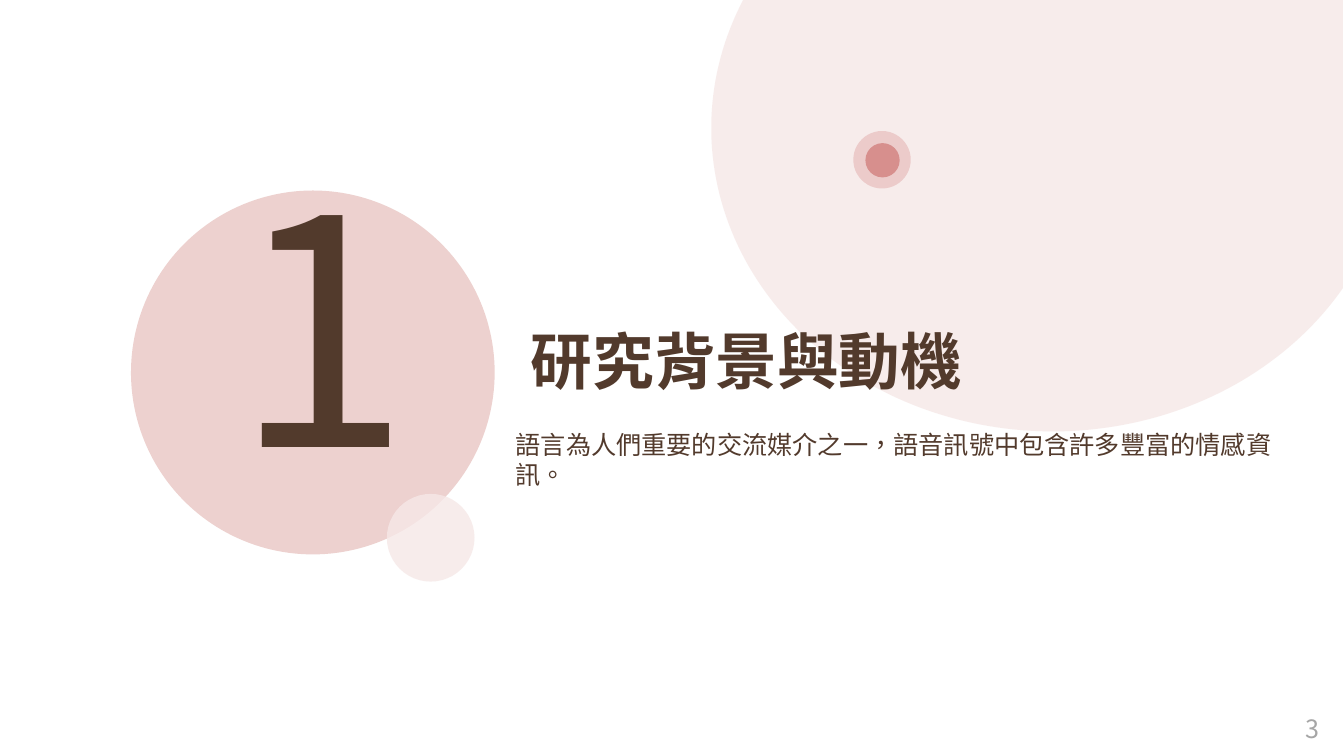
"""Build a section opener with pink circles, a large number, a title and a summary."""
import math

from lxml import etree
from pptx import Presentation
from pptx import util as u
from pptx.dml.color import RGBColor
from pptx.enum import shapes, text
from pptx.oxml.ns import qn

PX = 9144
FONT = "Noto Sans CJK SC"
BROWN = "523A2C"


def paint(shape, color, alpha=100):
    shape.shadow.inherit = False
    shape.fill.solid()
    shape.fill.fore_color.rgb = RGBColor.from_string(color)
    shape.line.fill.background()
    if alpha < 100:
        tint = shape.fill._xPr.find(qn("a:solidFill"))[0]
        etree.SubElement(tint, qn("a:alpha"), val=str(alpha * 1000))


def write(box, words, size, color, wrap, bold=False,
          align=text.PP_ALIGN.LEFT, anchor=text.MSO_ANCHOR.TOP):
    frame = box.text_frame
    frame.text = words
    frame.word_wrap = wrap
    frame.auto_size = text.MSO_AUTO_SIZE.NONE
    frame.vertical_anchor = anchor
    para = frame.paragraphs[0]
    para.alignment = align
    para.font.name = FONT
    para.font.size = u.Pt(size)
    para.font.bold = bold
    para.font.color.rgb = RGBColor.from_string(color)
    para._p.pPr.set("hangingPunct", "0")
    defaults = para._p.pPr.find(qn("a:defRPr"))
    etree.SubElement(defaults, qn("a:ea"), typeface=FONT)
    para.runs[0].font._element.set("lang", "zh-TW")


deck = Presentation()
deck.slide_width = 1334 * PX
deck.slide_height = 750 * PX
page = deck.slides.add_slide(deck.slide_layouts[5])
title = page.shapes.title

number_circles = [
    (130, 189, 361, "EDD1CF", 100),
    (384, 490, 87, "F6E8E7", 80),
]
for left, top, size, color, alpha in number_circles:
    circle = page.shapes.add_shape(shapes.MSO_SHAPE.OVAL, left * PX, top * PX, size * PX, size * PX)
    paint(circle, color, alpha)

number = page.shapes.add_textbox(223 * PX, 147 * PX, 104 * PX, 343 * PX)
write(number, "1", 226, BROWN, True,
      align=text.PP_ALIGN.CENTER, anchor=text.MSO_ANCHOR.MIDDLE)

summary = page.shapes.add_textbox(502 * PX, 421 * PX, 790 * PX, 40 * PX)
write(summary, "語言為人們重要的交流媒介之一，語音訊號中包含許多豐富的情感資訊。", 18, BROWN, True)

center_x, center_y, radius_x, radius_y = 1045, 127, 339, 301
start = math.acos((1333 - center_x) / radius_x)
end = math.pi + math.asin(center_y / radius_y)
steps = 120
arc = []
for step in range(steps + 1):
    angle = start + (end - start) * step / steps
    arc.append((round((center_x + radius_x * math.cos(angle)) * PX),
                round((center_y + radius_y * math.sin(angle)) * PX)))
outline = page.shapes.build_freeform(1333 * PX, 0)
outline.add_line_segments(arc, close=True)
paint(outline.convert_to_shape(), "F6E8E7", 80)

title.left, title.top, title.width, title.height = 517 * PX, 315 * PX, 480 * PX, 84 * PX
page.shapes._spTree.append(title._element)
write(title, "研究背景與動機", 44, BROWN, False, bold=True)

dot = page.shapes.add_group_shape()
for left, top, size, color in [(847, 130, 57, "ECCBCA"), (859, 142, 34, "D78F8D")]:
    disc = dot.shapes.add_shape(shapes.MSO_SHAPE.OVAL, left * PX, top * PX, size * PX, size * PX)
    paint(disc, color)

page_number = page.shapes.add_textbox(1286 * PX, 703 * PX, 34 * PX, 40 * PX)
write(page_number, "3", 18, "A6A6A6", False)

deck.save("out.pptx")
